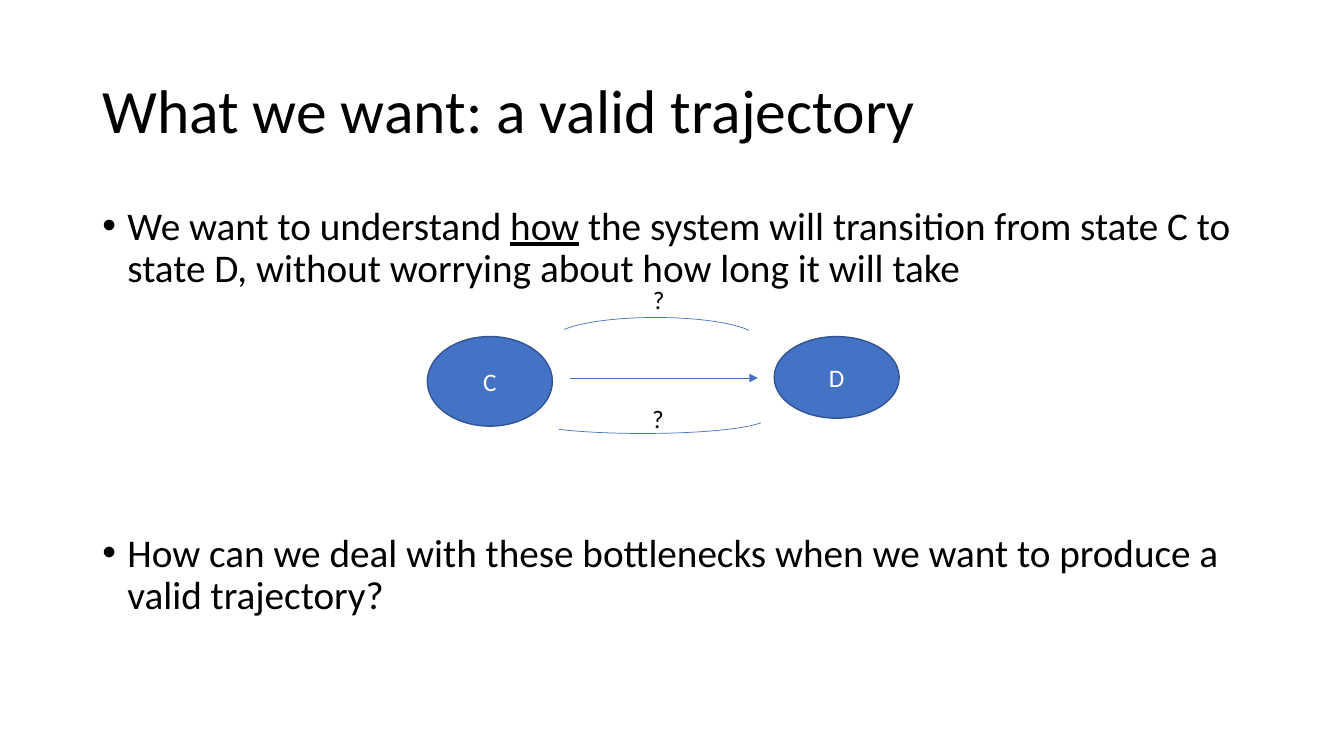
from lxml.etree import SubElement
from pptx import Presentation
from pptx.dml.color import RGBColor
from pptx.enum.shapes import MSO_CONNECTOR, MSO_SHAPE
from pptx.enum.text import MSO_ANCHOR, MSO_AUTO_SIZE, PP_ALIGN
from pptx.oxml.ns import qn
from pptx.util import Pt

BLACK = RGBColor(0x00, 0x00, 0x00)
WHITE = RGBColor(0xFF, 0xFF, 0xFF)
BLUE = RGBColor(0x44, 0x72, 0xC4)
DARK_BLUE = RGBColor(0x32, 0x54, 0x91)


def set_font(paragraph, size, color):
    paragraph.font.name = "Calibri"
    paragraph.font.size = Pt(size)
    paragraph.font.color.rgb = color


def add_text_frame(slide, left, top, width, height):
    box = slide.shapes.add_textbox(Pt(left), Pt(top), Pt(width), Pt(height))
    box.text_frame.word_wrap = True
    return box.text_frame


def add_title(slide, left, top, width, height):
    frame = add_text_frame(slide, left, top, width, height)
    frame.vertical_anchor = MSO_ANCHOR.MIDDLE
    paragraph = frame.paragraphs[0]
    paragraph.text = "What we want: a valid trajectory"
    paragraph.line_spacing = 0.9
    set_font(paragraph, 44, BLACK)


def format_bullet(paragraph, space_before):
    paragraph.line_spacing = 0.9
    paragraph.space_before = Pt(space_before)
    properties = paragraph._p.get_or_add_pPr()
    properties.set("marL", str(Pt(18)))
    properties.set("indent", str(-Pt(18)))
    SubElement(properties, qn("a:buFont")).set("typeface", "Arial")
    SubElement(properties, qn("a:buChar")).set("char", "•")
    set_font(paragraph, 28, BLACK)


def add_body(slide, left, top, width, height):
    frame = add_text_frame(slide, left, top, width, height)
    goal = frame.paragraphs[0]
    format_bullet(goal, 10)
    goal.add_run().text = "We want to understand "
    emphasis = goal.add_run()
    emphasis.text = "how"
    emphasis.font.underline = True
    goal.add_run().text = (" the system will transition from state C to state D, "
                           "without worrying about how long it will take")

    # The second bullet leaves room for the diagram
    question = frame.add_paragraph()
    format_bullet(question, 173)
    question.add_run().text = ("How can we deal with these bottlenecks when we want "
                               "to produce a valid trajectory?")


def add_state(slide, name, left, top, width, height):
    state = slide.shapes.add_shape(MSO_SHAPE.OVAL, Pt(left), Pt(top), Pt(width), Pt(height))
    state.shadow.inherit = False
    state.fill.solid()
    state.fill.fore_color.rgb = BLUE
    state.line.color.rgb = DARK_BLUE
    state.line.width = Pt(1)
    state.text_frame.vertical_anchor = MSO_ANCHOR.MIDDLE
    paragraph = state.text_frame.paragraphs[0]
    paragraph.text = name
    paragraph.alignment = PP_ALIGN.CENTER
    set_font(paragraph, 18, WHITE)


def add_arrow(slide, start, end, y):
    arrow = slide.shapes.add_connector(MSO_CONNECTOR.STRAIGHT, Pt(start), Pt(y), Pt(end), Pt(y))
    arrow.line.color.rgb = BLUE
    arrow.line.width = Pt(0.5)
    SubElement(arrow.line._get_or_add_ln(), qn("a:tailEnd")).set("type", "triangle")
    SubElement(arrow._element.spPr, qn("a:effectLst"))


def add_path_arc(slide, left, top, width, height, angles, rotation):
    arc = slide.shapes.add_shape(MSO_SHAPE.ARC, Pt(left), Pt(top), Pt(width), Pt(height))
    arc.shadow.inherit = False
    arc.rotation = rotation
    arc.adjustments[0], arc.adjustments[1] = angles
    arc.fill.background()
    arc.line.color.rgb = BLUE
    arc.line.width = Pt(0.5)


def add_question_mark(slide, left, top):
    frame = add_text_frame(slide, left, top, 23, 29)
    frame.word_wrap = False
    frame.auto_size = MSO_AUTO_SIZE.SHAPE_TO_FIT_TEXT
    frame.paragraphs[0].text = "?"
    set_font(frame.paragraphs[0], 18, BLACK)


def add_transition_diagram(slide, left, top, width):
    # The two states at the ends
    state_width = 89.3
    add_state(slide, "C", left, top + 41, state_width, 64)
    add_state(slide, "D", left + width - state_width, top + 41, state_width, 58.3)

    # Direct way
    add_arrow(slide, left + 101.5, left + 236, top + 70.6)

    # Unknown ways above and below
    add_path_arc(slide, left + 90, top + 27.4, 146, 31, (111.643, 212.755), 0)
    add_question_mark(slide, left + 154, top)
    add_path_arc(slide, left + 66.2, top + 88.6, 175.7, 21.6, (109.263, 211.532), 180)
    add_question_mark(slide, left + 153.4, top + 85)


def main():
    presentation = Presentation()
    presentation.slide_width = Pt(960)
    presentation.slide_height = Pt(540)
    slide = presentation.slides.add_slide(presentation.slide_layouts[6])
    add_title(slide, 66, 28.8, 828, 104.4)
    add_body(slide, 66, 144, 828, 342.7)
    add_transition_diagram(slide, 305.3, 199.4, 337)
    presentation.save("out.pptx")


if __name__ == "__main__":
    main()
